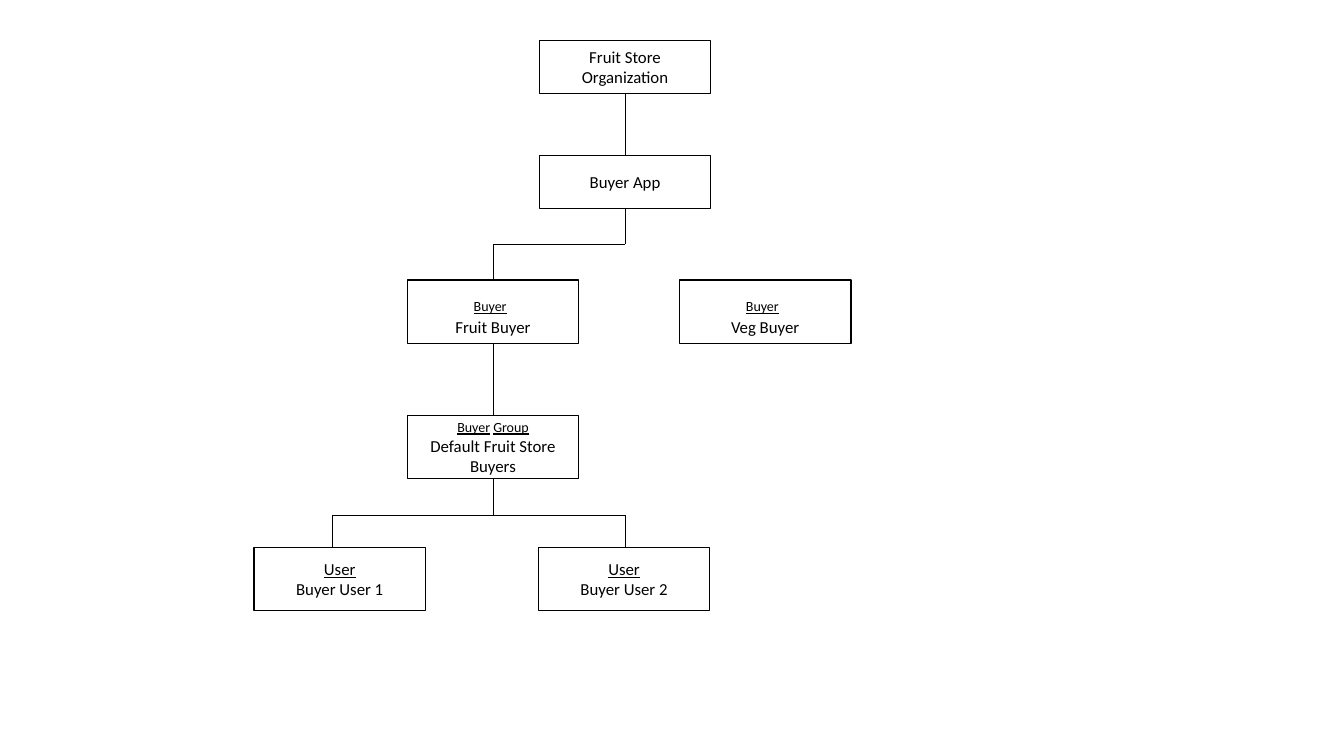
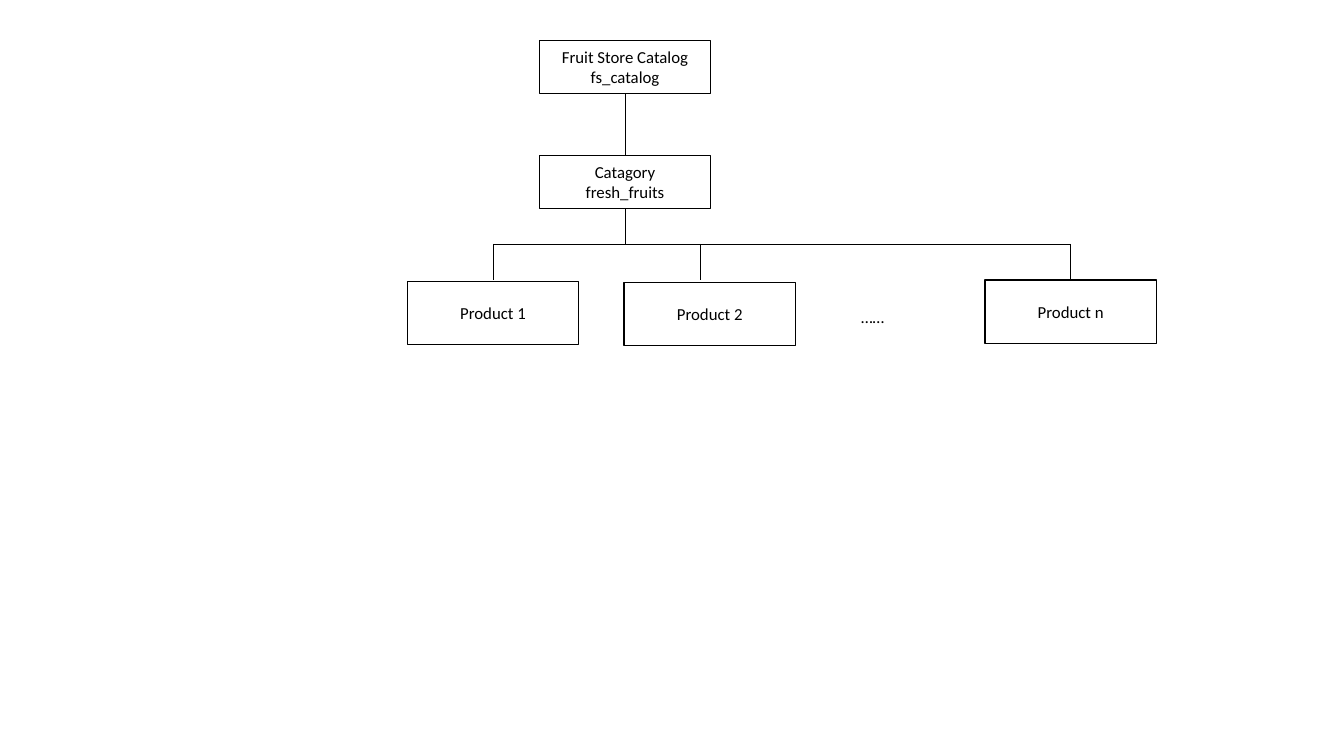
from dataclasses import dataclass

from lxml import etree
from pptx import Presentation
from pptx.dml.color import RGBColor
from pptx.enum.shapes import MSO_CONNECTOR, MSO_SHAPE
from pptx.enum.text import MSO_ANCHOR, PP_ALIGN
from pptx.oxml.ns import qn
from pptx.util import Inches, Pt

RECTANGLE = MSO_SHAPE.RECTANGLE
STRAIGHT = MSO_CONNECTOR.STRAIGHT
MIDDLE = MSO_ANCHOR.MIDDLE
CENTER = PP_ALIGN.CENTER


@dataclass(frozen=True)
class Theme:
    ink: RGBColor = RGBColor(0x00, 0x00, 0x00)
    paper: RGBColor = RGBColor(0xFF, 0xFF, 0xFF)
    font: str = "Calibri"
    body: int = 12
    label: int = 10
    spacer: int = 18
    border: float = 1
    link: float = 0.5


THEME = Theme()
FORMATS = {
    "body": {"size": Pt(THEME.body), "underline": False},
    "heading": {"size": Pt(THEME.body), "underline": True},
    "label": {"size": Pt(THEME.label), "underline": True},
    "gap": {"size": Pt(THEME.label), "underline": False},
    "spacer": {"size": Pt(THEME.spacer), "underline": False},
}

BOX_W = 1.7
ROOT_H = 0.53
NODE_H = 0.63
ROOT_X, ROOT_Y = 5.35, 0.4
CHILD_Y = 1.54
ROW_Y = 2.78
GROUP_Y = 4.12
USER_Y = 5.43
FIRST_X = 4.04
TRUNK_X = ROOT_X + BOX_W / 2
FIRST_MID = FIRST_X + BOX_W / 2
ROW_BUS_Y = 2.42
USER_BUS_Y = 5.11


def add_run(p, text, style):
    r = p.add_run()
    r.text = text
    for name, value in {"name": THEME.font, **FORMATS[style]}.items():
        setattr(r.font, name, value)
    r.font.color.rgb = THEME.ink


def add_box(s, x, y, w, h, lines, border=THEME.ink):
    sp = s.shapes.add_shape(RECTANGLE, Inches(x), Inches(y), Inches(w), Inches(h))
    sp.shadow.inherit = False
    sp.fill.solid()
    sp.fill.fore_color.rgb = THEME.paper
    sp.line.color.rgb = border
    sp.line.width = Pt(THEME.border)
    tf = sp.text_frame
    tf.word_wrap = True
    tf.vertical_anchor = MIDDLE
    for i, line in enumerate(lines):
        p = tf.add_paragraph() if i else tf.paragraphs[0]
        p.alignment = CENTER
        for text, style in [(line, "body")] if isinstance(line, str) else line:
            add_run(p, text, style)


def add_link(s, x1, y1, x2, y2):
    cxn = s.shapes.add_connector(STRAIGHT, *map(Inches, (x1, y1, x2, y2)))
    cxn.line.color.rgb = THEME.ink
    cxn.line.width = Pt(THEME.link)
    etree.SubElement(cxn._element.spPr, qn("a:effectLst"))


def add_branch(s, stem_x, top, bus_y, drops, bottom):
    add_link(s, stem_x, top, stem_x, bus_y)
    add_link(s, min(stem_x, *drops), bus_y, max(stem_x, *drops), bus_y)
    for x in drops:
        add_link(s, x, bus_y, x, bottom)


def add_trunk(s, root, child, drops):
    for y, lines in ((ROOT_Y, root), (CHILD_Y, child)):
        add_box(s, ROOT_X, y, BOX_W, ROOT_H, lines)
    add_link(s, TRUNK_X, ROOT_Y + ROOT_H, TRUNK_X, CHILD_Y)
    add_branch(s, TRUNK_X, CHILD_Y + ROOT_H, ROW_BUS_Y, drops, ROW_Y)


def build_organization(s):
    add_trunk(s, ["Fruit Store Organization"], ["Buyer App"], [FIRST_MID])
    buyer = [("Buyer", "label"), (" ", "spacer")]
    group = [("Buyer", "label"), (" ", "gap"), ("Group", "label")]
    user = [("User", "heading")]
    for x, y, kind, name in (
        (FIRST_X, ROW_Y, buyer, "Fruit Buyer"),
        (6.74, ROW_Y, buyer, "Veg Buyer"),
        (FIRST_X, GROUP_Y, group, "Default Fruit Store Buyers"),
        (2.52, USER_Y, user, "Buyer User 1"),
        (5.34, USER_Y, user, "Buyer User 2"),
    ):
        add_box(s, x, y, BOX_W, NODE_H, [kind, name])
    add_link(s, FIRST_MID, ROW_Y + NODE_H, FIRST_MID, GROUP_Y)
    add_branch(s, FIRST_MID, GROUP_Y + NODE_H, USER_BUS_Y, [3.3, TRUNK_X], USER_Y)


def build_catalog(s):
    add_trunk(
        s,
        ["Fruit Store Catalog", "fs_catalog"],
        ["Catagory", "fresh_fruits"],
        [FIRST_MID, 6.95, 10.62],
    )
    for x, y, name in (
        (FIRST_X, 2.79, "Product 1"),
        (6.19, 2.8, "Product 2"),
        (9.77, ROW_Y, "Product n"),
    ):
        add_box(s, x, y, BOX_W, NODE_H, [name])
    add_box(s, 8.24, 2.98, 0.83, 0.33, ["……"], THEME.paper)


def main():
    prs = Presentation()
    prs.slide_width = Inches(13.33)
    prs.slide_height = Inches(7.5)
    for build in (build_organization, build_catalog):
        build(prs.slides.add_slide(prs.slide_layouts[6]))
    prs.save("out.pptx")


if __name__ == "__main__":
    main()
